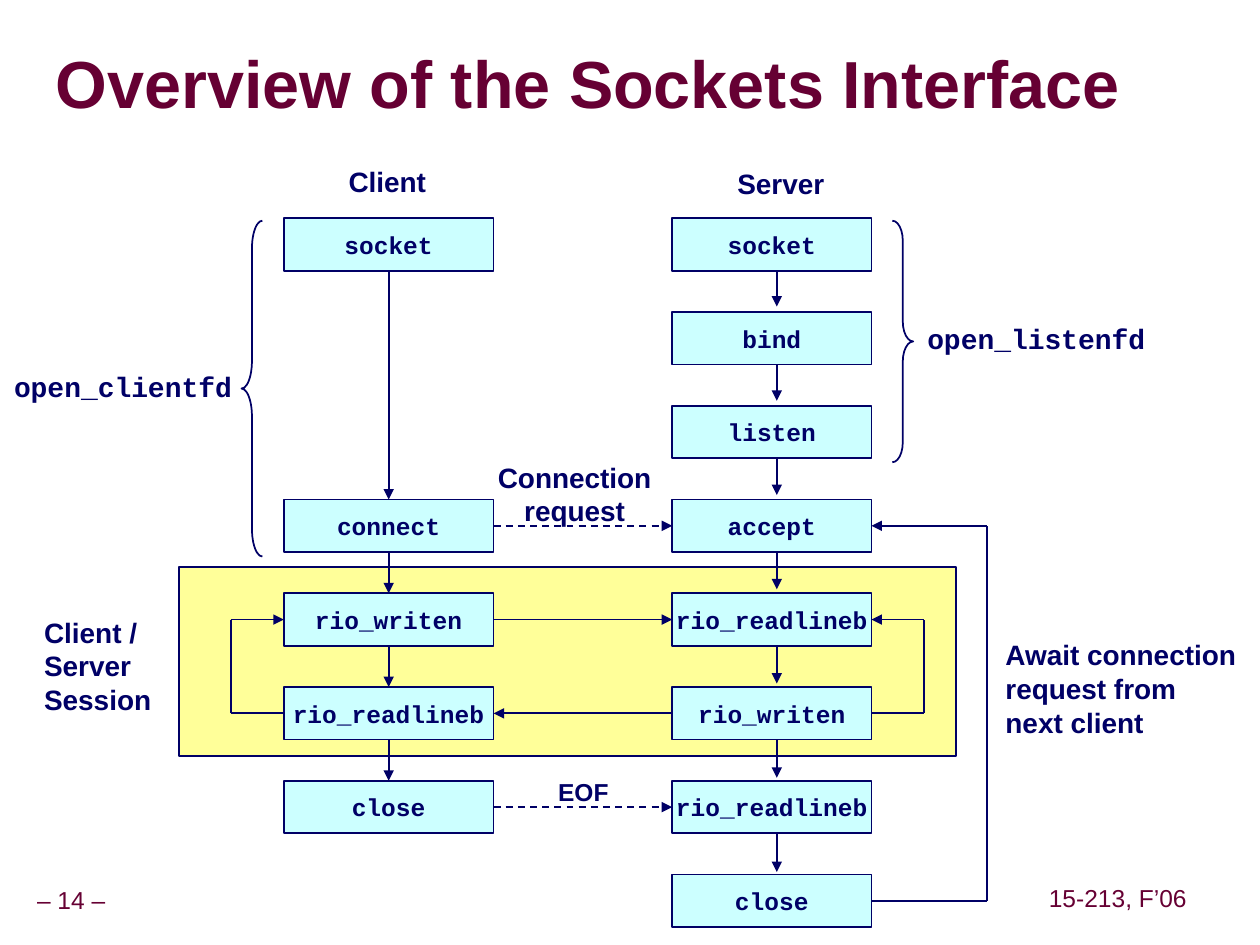
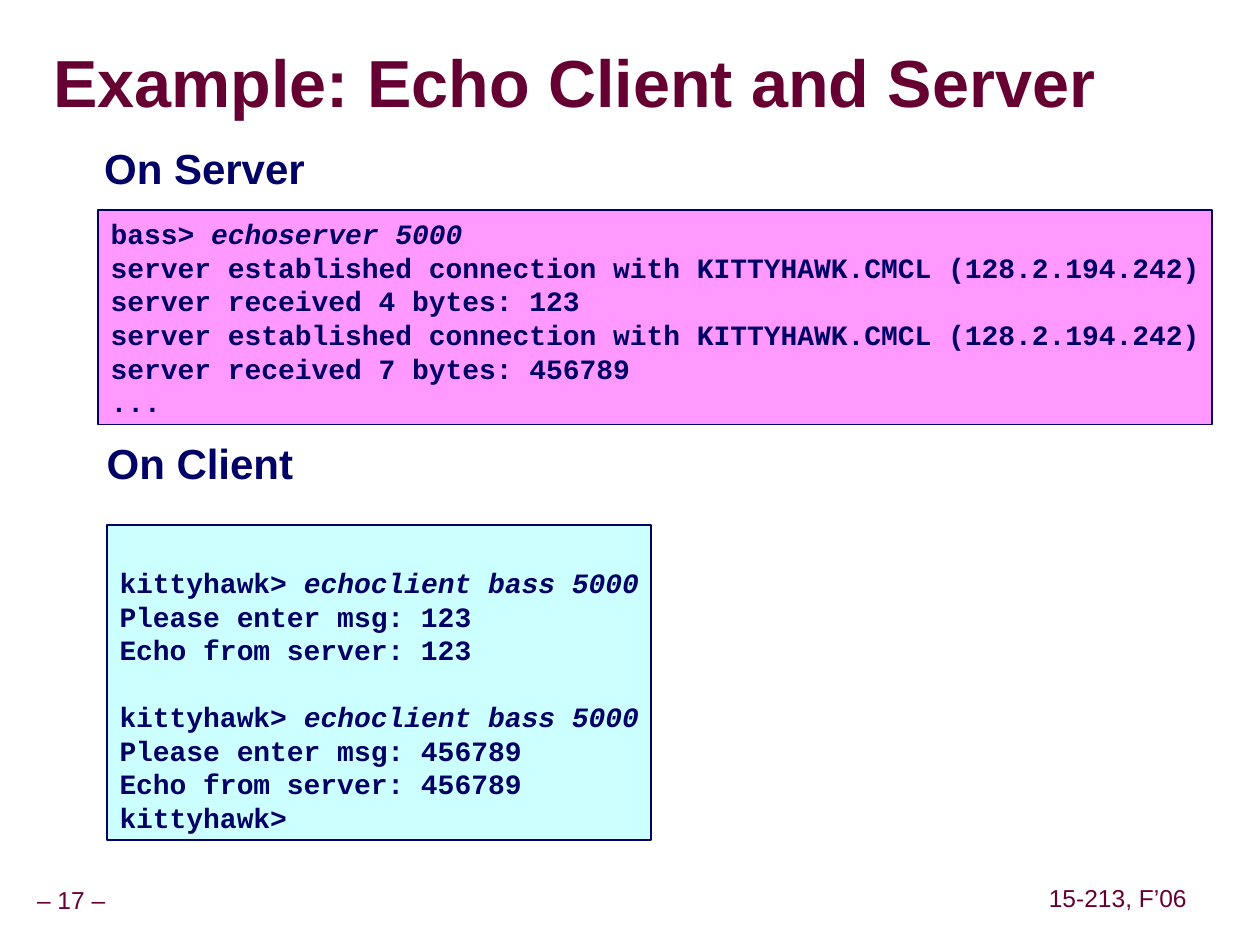
from typing import NamedTuple

from pptx import Presentation
from pptx.dml.color import RGBColor
from pptx.enum.dml import MSO_LINE
from pptx.enum.shapes import MSO_CONNECTOR, MSO_SHAPE
from pptx.enum.text import MSO_ANCHOR, MSO_AUTO_SIZE, PP_ALIGN
from pptx.oxml.ns import qn
from pptx.util import Cm, Pt
from lxml.etree import SubElement

# Shared look
NAVY, WINE, GREY = "000066", "660033", "999999"
AQUA, PINK, CREAM = "CCFFFF", "FF99FF", "FFFF99"
SANS, MONO = "Arial", "Courier New"
INSET = (0.25, 0.13)
TOP, LEFT, BOTTOM, RIGHT = range(4)


class Area(NamedTuple):
    x: float
    y: float
    w: float
    h: float

    def cm(self) -> list:
        return [Cm(v) for v in self]


class Label(NamedTuple):
    text: str
    area: Area
    size: int = 16
    font: str = SANS
    align: PP_ALIGN = PP_ALIGN.CENTER
    wrap: bool = False
    anchor: MSO_ANCHOR = MSO_ANCHOR.MIDDLE


class Joint(NamedTuple):
    box: object
    site: int


class Column(NamedTuple):
    x: float
    w: float
    calls: dict


class Brace(NamedTuple):
    kind: MSO_SHAPE
    area: Area
    curl: float


def rgb(code: str) -> RGBColor:
    return RGBColor.from_string(code)


def write(shape, text: str, size=16, color=NAVY, font=SANS, bold=True,
          align=PP_ALIGN.LEFT, anchor=MSO_ANCHOR.MIDDLE, wrap=False,
          inset=INSET, top=None, pitch=None) -> None:
    """Fill a shape; a command after a prompt is italic, an empty line is a gap."""
    frame = shape.text_frame
    frame.auto_size = MSO_AUTO_SIZE.NONE
    frame.word_wrap = wrap
    frame.vertical_anchor = anchor
    frame.margin_left = frame.margin_right = Cm(inset[0])
    frame.margin_top = Cm(inset[1] if top is None else top)
    frame.margin_bottom = Cm(inset[1])
    for n, block in enumerate(text.split("\n\n")):
        for k, row in enumerate(block.split("\n")):
            para = frame.add_paragraph() if n or k else frame.paragraphs[0]
            para.alignment = align
            para.line_spacing = pitch or Pt(1.2 * size)
            para.space_before = Pt(1.2 * size if n and not k else 0)
            head, mark, order = row.partition("> ")
            for part, slant in ((head + mark, False), (order, True)):
                if part:
                    run = para.add_run()
                    run.text = part
                    face = run.font
                    face.name, face.size = font, Pt(size)
                    face.bold, face.italic = bold, slant
                    face.color.rgb = rgb(color)


def shade(shape) -> None:
    """Give the title text its grey shadow."""
    for run in shape.text_frame.paragraphs[0].runs:
        props = run.font.fill._xPr
        effect = props.makeelement(qn("a:effectLst"), {})
        props.find(qn("a:solidFill")).addnext(effect)
        drop = SubElement(effect, qn("a:outerShdw"),
                          dist="38100", dir="2700000", algn="tl")
        SubElement(drop, qn("a:srgbClr"), val=GREY)


def put(slide, label: Label, **kind) -> None:
    shape = slide.shapes.add_textbox(*label.area.cm())
    form = dict(size=label.size, font=label.font, align=label.align,
                wrap=label.wrap, anchor=label.anchor)
    write(shape, label.text, **(form | kind))


def draw(slide, area: Area, fill: str = "", kind=MSO_SHAPE.RECTANGLE):
    shape = slide.shapes.add_shape(kind, *area.cm())
    shape.shadow.inherit = False
    if fill:
        shape.fill.solid()
        shape.fill.fore_color.rgb = rgb(fill)
    else:
        shape.fill.background()
    shape.line.color.rgb = rgb(NAVY)
    shape.line.width = Pt(1)
    return shape


def link(slide, start, end, head=True, dash=False) -> None:
    """Draw a line between points or joints."""
    ends = [(0, 0) if isinstance(e, Joint) else e for e in (start, end)]
    wire = slide.shapes.add_connector(MSO_CONNECTOR.STRAIGHT, *ends[0], *ends[1])
    if isinstance(start, Joint):
        wire.begin_connect(*start)
    if isinstance(end, Joint):
        wire.end_connect(*end)
    wire.line.color.rgb = rgb(NAVY)
    wire.line.width = Pt(1)
    if dash:
        wire.line.dash_style = MSO_LINE.DASH
    if head:
        SubElement(wire.line._get_or_add_ln(), qn("a:tailEnd"), type="triangle")
    SubElement(wire._element.spPr, qn("a:effectLst"))


def loop(slide, start, end, side: int, x: float) -> None:
    """Lead from one box out to x and back to another box."""
    low, high = [(Cm(x), b.top + b.height // 2) for b in (start, end)]
    link(slide, Joint(start, side), low, head=False)
    link(slide, low, high, head=False)
    link(slide, high, Joint(end, side))


def page(deck, title: str, area: Area, number: int):
    slide = deck.slides.add_slide(deck.slide_layouts[5])
    head = slide.shapes.title
    head.left, head.top, head.width, head.height = area.cm()
    write(head, title, size=38, color=WINE, wrap=True, inset=(0, 0), pitch=0.87)
    shade(head)
    for text, place in ((f"– {number} –", Area(-0.23, 17.78, 3.33, 0.79)),
                        ("15-213, F’06", Area(21.01, 17.75, 3.05, 0.79))):
        put(slide, Label(text, place, 14), color=WINE, bold=False,
            inset=(0.13, 0.13), pitch=0.9)
    return slide


# Sockets diagram: calls keyed by row
CLIENT = Column(5.72, 4.23, {0: "socket", 3: "connect", 4: "rio_writen",
                             5: "rio_readlineb", 6: "close"})
SERVER = Column(13.55, 4.02, dict(enumerate(
    ["socket", "bind", "listen", "accept", "rio_readlineb",
     "rio_writen", "rio_readlineb", "close"])))
FIRST, STEP, HIGH = 4.4, 1.89, 1.06
BRACES = [
    Brace(MSO_SHAPE.RIGHT_BRACE, Area(17.99, 4.45, 0.42, 4.87), 0.96),
    Brace(MSO_SHAPE.LEFT_BRACE, Area(4.87, 4.45, 0.42, 6.77), 1.33),
]
NOTES = [
    Label("Client", Area(6.78, 3.18, 2.06, 0.94)),
    Label("Server", Area(14.61, 3.23, 2.26, 0.94)),
    Label("Connection\nrequest", Area(9.78, 9.14, 3.61, 1.63)),
    Label("EOF", Area(11, 15.54, 1.52, 0.86), 14),
    Label("open_listenfd", Area(18.44, 6.35, 4.9, 0.94), font=MONO),
    Label("open_clientfd", Area(0.03, 7.32, 4.9, 0.94), font=MONO),
    Label("Client / Server\nSession", Area(0.64, 12.27, 2.74, 2.29),
          align=PP_ALIGN.LEFT, wrap=True),
    Label("Await connection\nrequest from\nnext client",
          Area(20.02, 12.73, 5.16, 2.29), align=PP_ALIGN.LEFT),
]


def stack(slide, col: Column) -> dict:
    boxes = {}
    for row, call in col.calls.items():
        box = draw(slide, Area(col.x, FIRST + STEP * row, col.w, HIGH), AQUA)
        write(box, call, size=14, font=MONO, align=PP_ALIGN.CENTER)
        boxes[row] = box
    return boxes


def sockets(deck) -> None:
    slide = page(deck, "Overview of the Sockets Interface",
                 Area(1.12, 0.69, 24.21, 2.16), 14)
    draw(slide, Area(3.61, 11.43, 15.67, 3.81), CREAM)

    # Steps down the server side, set a little right of centre
    for row in range(7):
        y = 5.33 + 1.9 * row
        link(slide, (Cm(15.66), Cm(y)), (Cm(15.66), Cm(y + 0.85)))
    client, server = stack(slide, CLIENT), stack(slide, SERVER)

    # Steps down the client side
    rows = list(client)
    for one, two in zip(rows, rows[1:]):
        link(slide, Joint(client[one], BOTTOM), Joint(client[two], TOP))

    # Traffic between the sides
    for row in (3, 4, 6):
        link(slide, Joint(client[row], RIGHT), Joint(server[row], LEFT),
             dash=row != 4)
    link(slide, Joint(server[5], LEFT), Joint(client[5], RIGHT))

    # Loops back
    loop(slide, client[5], client[4], LEFT, 4.65)
    loop(slide, server[5], server[4], RIGHT, 18.62)
    loop(slide, server[7], server[3], RIGHT, 19.89)

    for brace in BRACES:
        draw(slide, brace.area, kind=brace.kind).adjustments[0] = brace.curl
    for note in NOTES:
        put(slide, note)


# Echo session
JOIN = "server established connection with KITTYHAWK.CMCL (128.2.194.242)"
BASS = f"""bass> echoserver 5000
{JOIN}
server received 4 bytes: 123
{JOIN}
server received 7 bytes: 456789
..."""
HAWK = "\n\n".join(
    f"kittyhawk> echoclient bass 5000\nPlease enter msg: {msg}\n"
    f"Echo from server: {msg}" for msg in ("123", "456789")) + "\nkittyhawk>"


def echo(deck) -> None:
    slide = page(deck, "Example: Echo Client and Server",
                 Area(1.07, 0.94, 23.06, 1.6), 17)
    for text, area in (("On Server", Area(1.85, 2.74, 4.55, 1.27)),
                       ("On Client", Area(1.9, 8.69, 4.27, 1.27))):
        put(slide, Label(text, area, 24, align=PP_ALIGN.LEFT,
                         anchor=MSO_ANCHOR.TOP))
    for text, area, fill, top in (
            (BASS, Area(1.98, 4.24, 22.45, 4.32), PINK, 0.13),
            (HAWK, Area(2.16, 10.59, 10.97, 6.35), AQUA, 0.81)):
        write(draw(slide, area, fill), text, font=MONO,
              anchor=MSO_ANCHOR.TOP, top=top)


def main() -> None:
    deck = Presentation()
    deck.slide_width, deck.slide_height = Cm(25.4), Cm(19.05)
    sockets(deck)
    echo(deck)
    deck.save("out.pptx")


if __name__ == "__main__":
    main()
